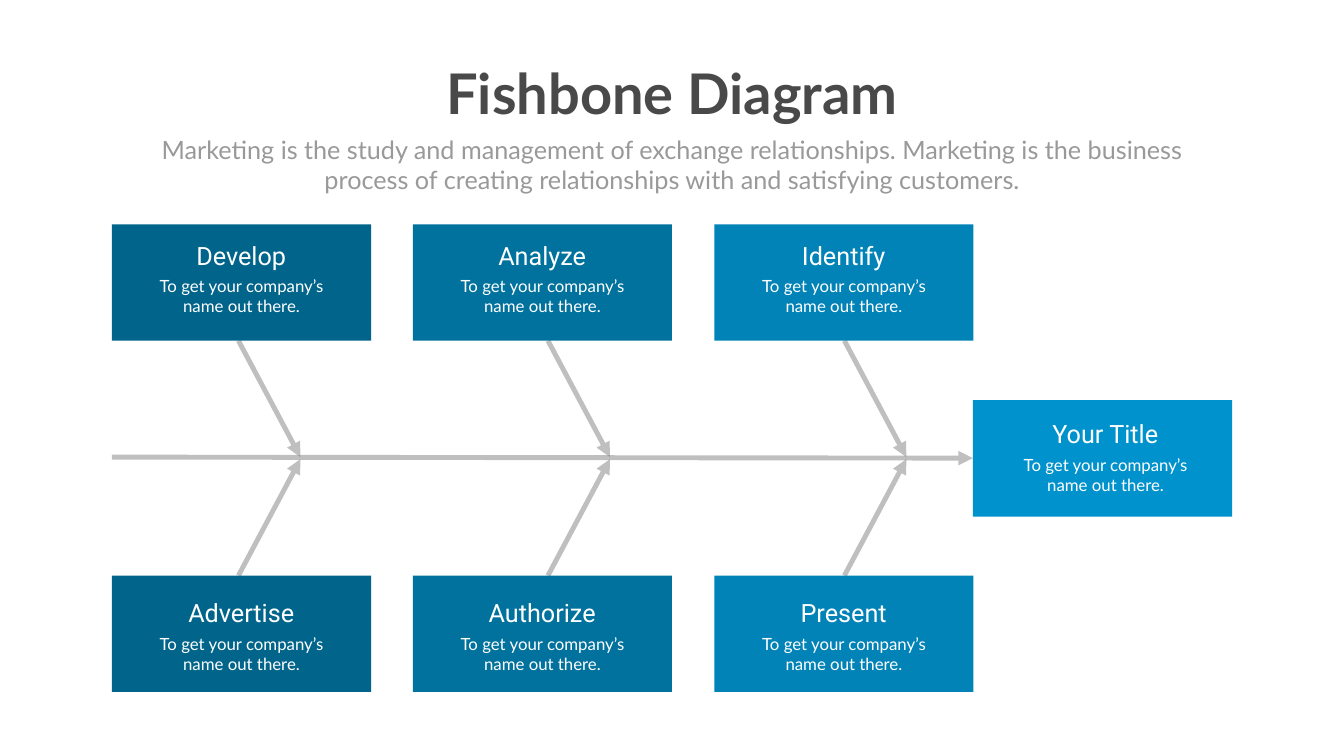
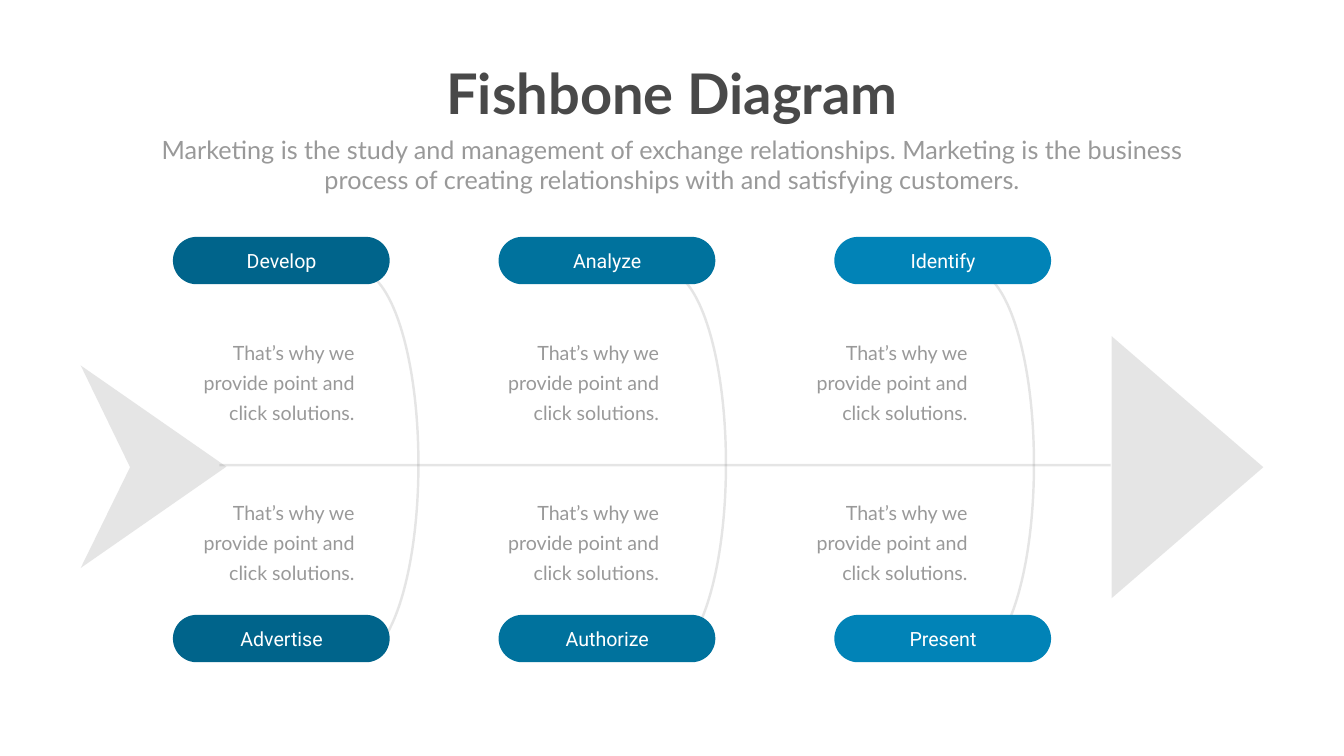
import pptx
import pptx.dml.color
import pptx.enum.shapes
import pptx.enum.text
import pptx.oxml
import pptx.oxml.ns
import pptx.util

RGBColor = pptx.dml.color.RGBColor
SHAPE = pptx.enum.shapes.MSO_SHAPE
ALIGN = pptx.enum.text.PP_ALIGN

PX = 9144  # EMU per px, 100 px to the inch
SLIDE_WIDTH, SLIDE_HEIGHT = 2666, 1500

WHITE = RGBColor(0xFF, 0xFF, 0xFF)
TITLE_GRAY = RGBColor(0x49, 0x49, 0x49)
TEXT_GRAY = RGBColor(0x99, 0x99, 0x99)
BONE_GRAY = RGBColor(0x80, 0x80, 0x80)
COLUMN_BLUES = (RGBColor(0x00, 0x64, 0x8B), RGBColor(0x00, 0x72, 0x9D),
                RGBColor(0x01, 0x83, 0xB7))
HEAD_BLUE = RGBColor(0x00, 0x92, 0xCC)
BODY_FONT, LABEL_FONT = "Lato", "Roboto"

TITLE = "Fishbone Diagram"
SUBTITLE = ("Marketing is the study and management of exchange relationships. "
            "Marketing is the business process of creating relationships with "
            "and satisfying customers.")
UPPER_CAUSES = ("Develop", "Analyze", "Identify")
LOWER_CAUSES = ("Advertise", "Authorize", "Present")
CARD_CAPTION = "To get your company’s name out there."
NOTE = "That’s why we provide point and click solutions."

CARD_WIDTH, CARD_HEIGHT = 514, 231
PILL_WIDTH, PILL_HEIGHT = 430, 94


def emu(*lengths):
    return [pptx.util.Emu(round(length * PX)) for length in lengths]


# Shared formatting

def append_xml(parent, tag, attributes=""):
    namespace = pptx.oxml.ns.nsdecls("a")
    child = pptx.oxml.parse_xml(f"<a:{tag} {namespace} {attributes}/>")
    parent.append(child)
    return child


def set_opacity(properties, percent):
    color = properties.find(".//" + pptx.oxml.ns.qn("a:srgbClr"))
    append_xml(color, "alpha", f'val="{percent * 1000}"')


def style_bone_line(line, width, opacity):
    line.color.rgb = BONE_GRAY
    line.width = pptx.util.Pt(width)
    set_opacity(line._get_or_add_ln(), opacity)


def write(frame, text, size, color, font=BODY_FONT, align=ALIGN.CENTER,
          bold=False, wrap=True, leading=None):
    frame.text = text
    frame.word_wrap = wrap
    frame.auto_size = pptx.enum.text.MSO_AUTO_SIZE.SHAPE_TO_FIT_TEXT
    frame.vertical_anchor = pptx.enum.text.MSO_ANCHOR.TOP
    paragraph = frame.paragraphs[0]
    paragraph.alignment = align
    if leading:
        paragraph.line_spacing = pptx.util.Pt(leading)
    letters = paragraph.runs[0].font
    letters.name, letters.size, letters.bold = font, pptx.util.Pt(size), bold
    letters.color.rgb = color


def add_text(slide, box, text, size, color, **options):
    write(slide.shapes.add_textbox(*emu(*box)).text_frame, text, size, color, **options)


def add_block(slide, preset, box, color):
    block = slide.shapes.add_shape(preset, *emu(*box))
    block.shadow.inherit = False
    block.fill.solid()
    block.fill.fore_color.rgb = color
    block.line.fill.background()
    return block


def add_bone(slide, start, end, width, opacity, arrow=False):
    bone = slide.shapes.add_connector(
        pptx.enum.shapes.MSO_CONNECTOR.STRAIGHT, *emu(*start, *end))
    style_bone_line(bone.line, width, opacity)
    if arrow:
        append_xml(bone.line._get_or_add_ln(), "tailEnd", 'type="triangle"')
    append_xml(bone._element.spPr, "effectLst")


def add_outline(slide, points, close):
    points = [emu(*point) for point in points]
    builder = slide.shapes.build_freeform(*points[0])
    builder.add_line_segments(points[1:], close=close)
    outline = builder.convert_to_shape()
    outline.shadow.inherit = False
    return outline


def add_heading(slide, left, top):
    title = slide.shapes.title
    title.left, title.top, title.width, title.height = emu(left + 576, top, 930, 145)
    write(title.text_frame, TITLE, 80, TITLE_GRAY, bold=True, wrap=False)
    add_text(slide, (left, top + 149, 2082, 131), SUBTITLE, 36, TEXT_GRAY)


def add_slide(deck):
    slide = deck.slides.add_slide(deck.slide_layouts[5])
    add_heading(slide, 292, 112)
    return slide


# Card diagram

def add_card(slide, left, top, label, color, text_left=46, text_top=26):
    add_block(slide, SHAPE.RECTANGLE, (left, top, CARD_WIDTH, CARD_HEIGHT), color)
    text_left, text_top = left + text_left, top + text_top
    add_text(slide, (text_left, text_top + 71, 422, 91), CARD_CAPTION, 24, WHITE)
    add_text(slide, (text_left + 21, text_top, 379, 71), label, 36, WHITE,
             font=LABEL_FONT)


def add_card_fishbone(slide, left, top, width, height):
    spine = top + 463
    head_left = left + width - CARD_WIDTH
    upper_end, lower_start = top + CARD_HEIGHT, top + height - CARD_HEIGHT

    # Spine and ribs
    add_bone(slide, (left, spine - 1), (head_left, spine + 1), 7, 50, arrow=True)
    for rib_offset in (251, 865, 1453):
        rib = left + rib_offset
        for start, end in ((upper_end, spine - 1), (lower_start, spine + 3)):
            add_bone(slide, (rib, start), (rib + 123, end), 7, 50, arrow=True)

    # Causes and effect
    for column, color in enumerate(COLUMN_BLUES):
        card_left = left + column * 1195 // 2
        add_card(slide, card_left, top, UPPER_CAUSES[column], color)
        add_card(slide, card_left, lower_start, LOWER_CAUSES[column], color,
                 text_top=39)
    add_card(slide, head_left, top + 349, "Your Title", HEAD_BLUE,
             text_left=52, text_top=32)


# Fish diagram

def add_curved_rib(slide, left, top, width, height):
    rib = add_outline(slide, [(left, top), (left + width, top + height / 2),
                              (left, top + height)], close=False)
    # Bend both straight segments into quarter ellipses
    curves = (((0.55, 0), (1, 0.22), (1, 0.5)), ((1, 0.78), (0.55, 1), (0, 1)))
    segments = list(rib._element.iter(pptx.oxml.ns.qn("a:lnTo")))
    for segment, curve in zip(segments, curves):
        bend = append_xml(segment.getparent(), "cubicBezTo")
        for across, down in curve:
            x, y = emu(across * width, down * height)
            append_xml(bend, "pt", f'x="{x}" y="{y}"')
        segment.getparent().remove(segment)
    rib.fill.background()
    style_bone_line(rib.line, 3.5, 20)


def add_fish_ends(slide, left, spine, width):
    # Head: an upright triangle turned to point right
    long_side, depth = 520, 301
    center = left + width - depth / 2
    head = add_block(slide, SHAPE.ISOSCELES_TRIANGLE,
                     (center - long_side / 2, spine + 4 - depth / 2, long_side, depth),
                     BONE_GRAY)
    head.rotation = 90
    set_opacity(head._element.spPr, 20)

    # Tail fin
    tail = add_outline(slide, [(left, spine - 198), (left + 289, spine + 3),
                               (left, spine + 204), (left + 98, spine + 4)], close=True)
    tail.fill.solid()
    tail.fill.fore_color.rgb = BONE_GRAY
    set_opacity(tail._element.spPr, 20)
    tail.line.fill.background()


def add_pill(slide, left, top, label, color):
    pill = add_block(slide, SHAPE.ROUNDED_RECTANGLE,
                     (left, top, PILL_WIDTH, PILL_HEIGHT), color)
    pill.adjustments[0] = 0.5
    add_text(slide, (left + 95, top + 18, 241, 57), label, 28, WHITE, font=LABEL_FONT)


def add_fish(slide, left, top, width, height):
    spine = top + 453
    lower_pill = top + height - PILL_HEIGHT

    # Spine, ribs, head and tail
    add_bone(slide, (left + 275, spine), (left + 2043, spine), 3.5, 20)
    for column in range(3):
        add_curved_rib(slide, left + 549 + column * 1221 // 2, top + 67, 121, 768)
    add_fish_ends(slide, left, spine, width)

    # Causes
    pill_offsets, note_offsets = (183, 829, 1495), (215, 819, 1431)
    for column, color in enumerate(COLUMN_BLUES):
        pill_left = left + pill_offsets[column]
        add_pill(slide, pill_left, top, UPPER_CAUSES[column], color)
        add_pill(slide, pill_left, lower_pill, LOWER_CAUSES[column], color)
        for note_top in (top + 188, top + 506):
            add_text(slide, (left + note_offsets[column], note_top, 338, 184), NOTE,
                     28, TEXT_GRAY, align=ALIGN.RIGHT, leading=43)


def main():
    deck = pptx.Presentation()
    deck.slide_width, deck.slide_height = emu(SLIDE_WIDTH, SLIDE_HEIGHT)
    add_card_fishbone(add_slide(deck), 222, 445, 2222, 928)
    add_fish(add_slide(deck), 160, 470, 2346, 844)
    deck.save("out.pptx")


if __name__ == "__main__":
    main()
